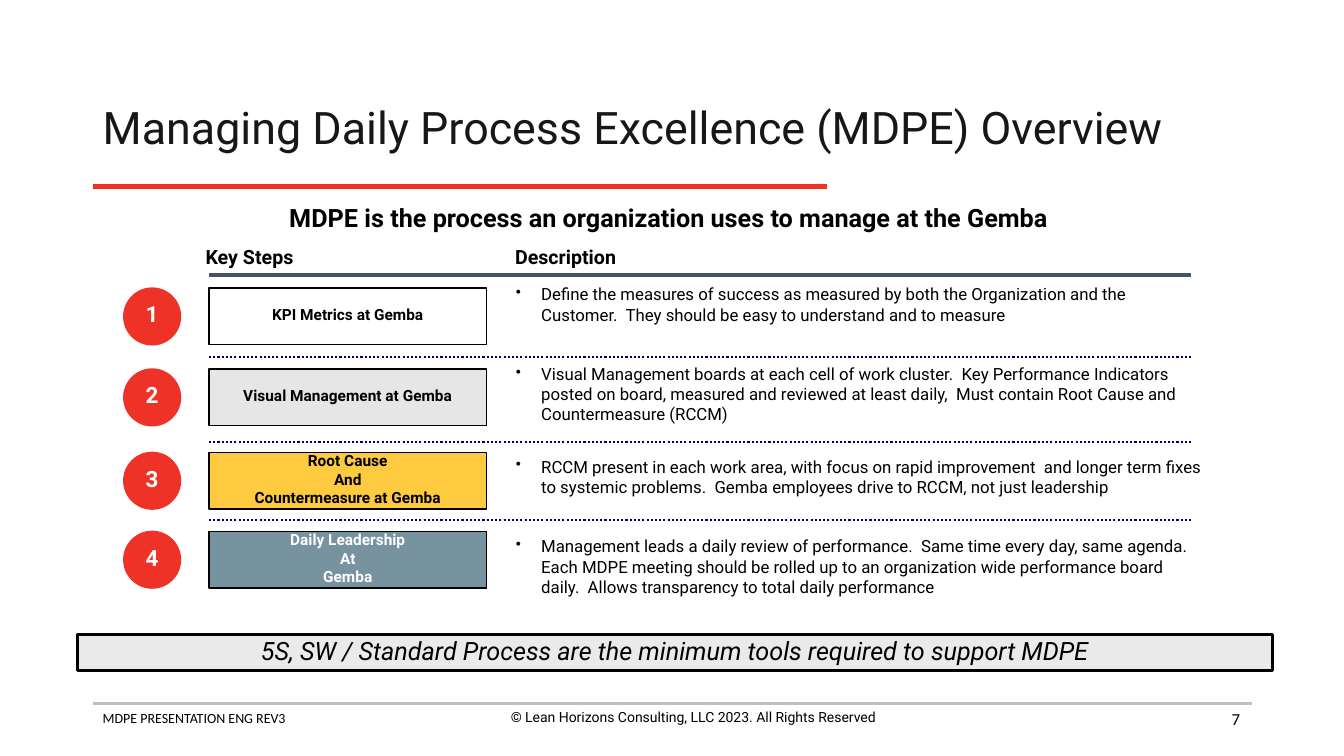
"""Build the Managing Daily Process Excellence overview slide."""
from lxml import etree
from pptx import Presentation
from pptx.dml.color import RGBColor
from pptx.enum.dml import MSO_LINE
from pptx.enum.shapes import MSO_CONNECTOR, MSO_SHAPE
from pptx.enum.text import MSO_ANCHOR, PP_ALIGN
from pptx.oxml.ns import qn
from pptx.util import Cm, Pt

LEFT, CENTER, RIGHT = PP_ALIGN.LEFT, PP_ALIGN.CENTER, PP_ALIGN.RIGHT
TOP, MIDDLE, BOTTOM = MSO_ANCHOR.TOP, MSO_ANCHOR.MIDDLE, MSO_ANCHOR.BOTTOM
RECTANGLE, OVAL = MSO_SHAPE.RECTANGLE, MSO_SHAPE.OVAL
STRAIGHT, DOTTED = MSO_CONNECTOR.STRAIGHT, MSO_LINE.ROUND_DOT

BLACK = RGBColor(0x00, 0x00, 0x00)
WHITE = RGBColor(0xFF, 0xFF, 0xFF)
INK = RGBColor(0x18, 0x17, 0x17)
RED = RGBColor(0xEE, 0x32, 0x28)
YELLOW = RGBColor(0xFD, 0xCA, 0x40)
TEAL = RGBColor(0x76, 0x93, 0x9F)
PALE = RGBColor(0xE7, 0xE6, 0xE6)
BAR = RGBColor(0xEA, 0xEA, 0xEA)
RULE = RGBColor(0xBF, 0xBF, 0xBF)
SLATE = RGBColor(0x44, 0x54, 0x6A)
NAVY = RGBColor(0x00, 0x00, 0x66)

TITLE = "Managing Daily Process Excellence (MDPE) Overview"
SUBTITLE = "MDPE is the process an organization uses to manage at the Gemba"
HEADINGS = "Key Steps\tDescription"
SUMMARY = "5S, SW / Standard Process are the minimum tools required to support MDPE"
FOOTER = "MDPE PRESENTATION ENG REV3"
COPYRIGHT = "© Lean Horizons Consulting, LLC 2023. All Rights Reserved"
PAGE_NUMBER = "7"

# step name, fill, font colour, row top, description top, description
STEPS = [
    ("KPI Metrics at Gemba", WHITE, BLACK, 7.26, 7.06,
     "Define the measures of success as measured by both the Organization and "
     "the Customer.  They should be easy to understand and to measure"),
    ("Visual Management at Gemba", PALE, BLACK, 9.3, 9.07,
     "Visual Management boards at each cell of work cluster.  Key Performance "
     "Indicators posted on board, measured and reviewed at least daily,  Must "
     "contain Root Cause and Countermeasure (RCCM)"),
    ("Root Cause\nAnd\nCountermeasure at Gemba", YELLOW, BLACK, 11.4, 11.4,
     "RCCM present in each work area, with focus on rapid improvement  and "
     "longer term fixes to systemic problems.  Gemba employees drive to RCCM, "
     "not just leadership"),
    ("Daily Leadership\nAt\nGemba", TEAL, WHITE, 13.39, 13.41,
     "Management leads a daily review of performance.  Same time every day, "
     "same agenda.  Each MDPE meeting should be rolled up to an organization "
     "wide performance board daily.  Allows transparency to total daily performance"),
]
DIVIDERS = [8.99, 11.13, 13.11]

CIRCLE_LEFT, STEP_LEFT, TEXT_LEFT = 3.12, 5.27, 12.8
ROW_HEIGHT, STEP_WIDTH, TEXT_WIDTH = 1.43, 6.99, 17.76
TABLE_RIGHT = 30.01


def write(box, text, size, color=BLACK, font="Roboto", align=LEFT, anchor=TOP,
          bold=False, italic=False, spacing=None, wrap=True):
    frame = box.text_frame
    frame.text = text
    frame.word_wrap = wrap
    frame.vertical_anchor = anchor
    for index, para in enumerate(frame.paragraphs):
        para.alignment = align
        if spacing:
            para.line_spacing = spacing
        if index:
            para.space_before = Pt(2.5)
        for span in para.runs:
            span.font.name = font
            span.font.size = Pt(size)
            span.font.bold = bold
            span.font.italic = italic
            span.font.color.rgb = color


def add_text(page, place, text, size, **style):
    box = page.shapes.add_textbox(*map(Cm, place))
    write(box, text, size, **style)
    return box


def add_box(page, kind, place, fill, line, width, text, size, **style):
    box = page.shapes.add_shape(kind, *map(Cm, place))
    box.shadow.inherit = False
    box.fill.solid()
    box.fill.fore_color.rgb = fill
    box.line.color.rgb = line
    box.line.width = Pt(width)
    write(box, text, size, align=CENTER, **style)


def add_rule(page, left, right, top, color, width, dash=None):
    rule = page.shapes.add_connector(STRAIGHT, Cm(left), Cm(top), Cm(right), Cm(top))
    rule.line.color.rgb = color
    rule.line.width = Pt(width)
    if dash:
        rule.line.dash_style = dash
    etree.SubElement(rule._element.spPr, qn("a:effectLst"))


def add_headings(page):
    box = add_text(page, (4.93, 6.17, 15, 0.74), HEADINGS, 14, bold=True, spacing=0.8)
    properties = box.text_frame.paragraphs[0]._p.get_or_add_pPr()
    tabs = etree.SubElement(properties, qn("a:tabLst"))
    etree.SubElement(tabs, qn("a:tab"), pos=str(Cm(7.8)), algn="l")


def add_description(page, top, text):
    box = add_text(page, (TEXT_LEFT, top, TEXT_WIDTH, 1.5), text, 12)
    frame = box.text_frame
    frame.margin_left = frame.margin_right = Cm(0.2)
    frame.margin_top = frame.margin_bottom = Cm(0.1)
    properties = frame.paragraphs[0]._p.get_or_add_pPr()
    properties.set("marL", str(Cm(0.64)))
    properties.set("indent", str(-Cm(0.64)))
    color = etree.SubElement(properties, qn("a:buClr"))
    etree.SubElement(color, qn("a:srgbClr"), val=str(BLACK))
    etree.SubElement(properties, qn("a:buSzPct"), val="90000")
    etree.SubElement(properties, qn("a:buChar"), char="•")


def add_steps(page):
    for number, (name, fill, color, top, text_top, text) in enumerate(STEPS, 1):
        add_box(page, OVAL, (CIRCLE_LEFT, top, ROW_HEIGHT, ROW_HEIGHT), RED, RED, 1,
                str(number), 16, color=WHITE, bold=True, anchor=MIDDLE,
                spacing=0.8, wrap=False)
        add_box(page, RECTANGLE, (STEP_LEFT, top, STEP_WIDTH, ROW_HEIGHT), fill, BLACK, 1,
                name, 11, color=color, bold=True, anchor=MIDDLE, spacing=0.8)
        add_description(page, text_top, text)
    for top in DIVIDERS:
        add_rule(page, STEP_LEFT, TABLE_RIGHT, top, NAVY, 1.5, DOTTED)


def main():
    deck = Presentation()
    deck.slide_width, deck.slide_height = Cm(33.87), Cm(19.05)
    page = deck.slides.add_slide(deck.slide_layouts[6])

    add_rule(page, 2.34, 31.55, 17.73, RULE, 2)
    add_text(page, (2.34, 17.75, 11.58, 1.12), FOOTER, 10, font="Calibri")
    add_text(page, (11.68, 17.73, 11.58, 1.12), COPYRIGHT, 10, align=CENTER)
    add_text(page, (23.88, 17.6, 7.62, 1.02), PAGE_NUMBER, 12, font="Calibri",
             align=RIGHT, anchor=MIDDLE)

    add_text(page, (2.34, 1.88, 29.21, 2.79), TITLE, 32, color=INK,
             anchor=MIDDLE, spacing=0.9)
    add_rule(page, 2.34, 20.83, 4.7, RED, 3)
    add_text(page, (1.8, 4.98, 30.1, 0.91), SUBTITLE, 18, align=CENTER, bold=True)

    add_headings(page)
    add_rule(page, STEP_LEFT, TABLE_RIGHT, 6.93, SLATE, 3)
    add_steps(page)
    add_box(page, RECTANGLE, (1.96, 15.98, 30.1, 0.91), BAR, BLACK, 2,
            SUMMARY, 18, italic=True, anchor=BOTTOM)
    deck.save("out.pptx")


if __name__ == "__main__":
    main()
